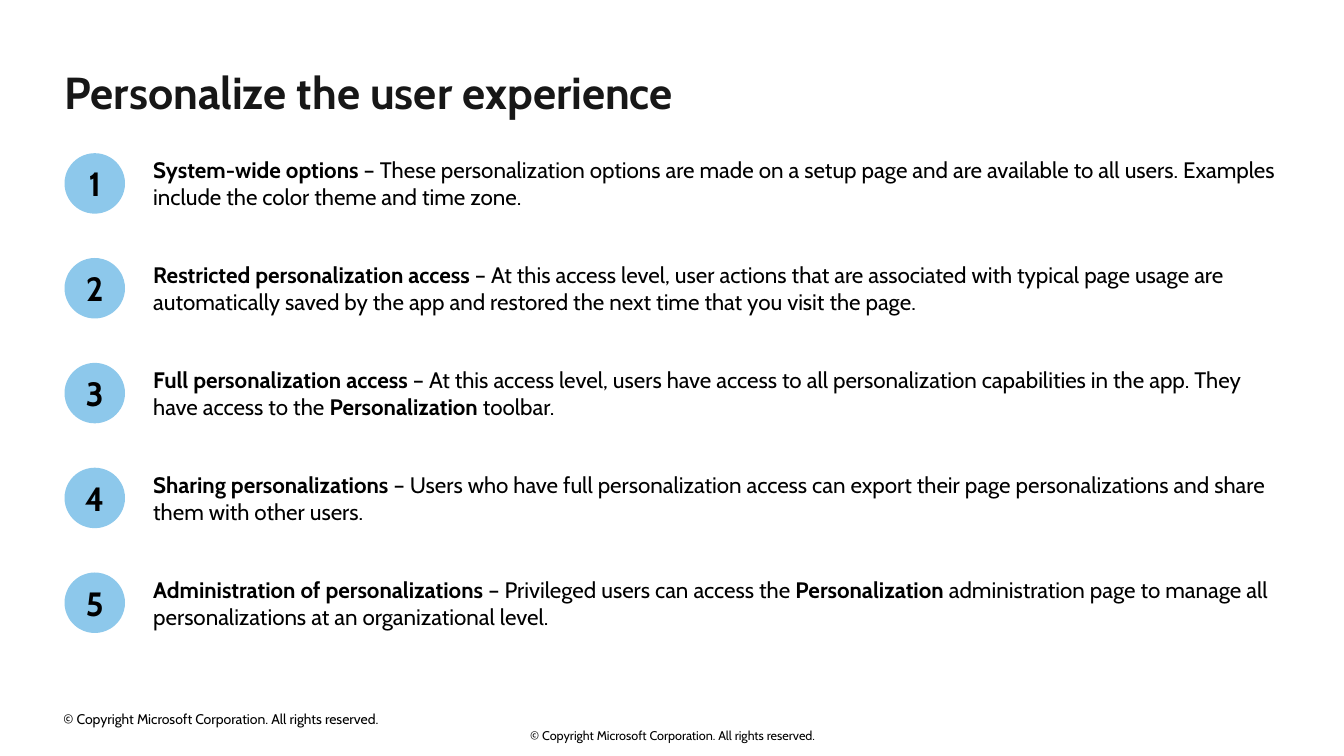
from dataclasses import dataclass

from pptx import Presentation
from pptx.dml.color import RGBColor
from pptx.enum.shapes import MSO_SHAPE
from pptx.enum.text import MSO_ANCHOR, PP_ALIGN
from pptx.util import Inches, Pt


@dataclass(frozen=True)
class Theme:
    font: str = "Cabin"
    heading: RGBColor = RGBColor(0x17, 0x17, 0x17)
    text: RGBColor = RGBColor(0, 0, 0)
    badge: RGBColor = RGBColor(0x8D, 0xC8, 0xEB)
    title_size: int = 32
    badge_size: int = 24
    body_size: int = 16
    footer_size: int = 10
    small_footer_size: int = 9


THEME = Theme()

# Grid in inches: two columns, five rows of equal pitch
SLIDE_WIDTH, SLIDE_HEIGHT = 13.33, 7.5
BADGE_LEFT, BADGE_SIZE = 0.64, 0.6
TEXT_LEFT, TEXT_WIDTH, TEXT_HEIGHT = 1.52, 11.17, 0.71
FIRST_ROW_MIDDLE, ROW_PITCH = 1.82, 1.04

TITLE = "Personalize the user experience"
COPYRIGHT = "© Copyright Microsoft Corporation. All rights reserved."

# Spans of each row alternate between bold and regular
ROWS = [
    ["System-wide options",
     " – These personalization options are made on a setup page and are available "
     "to all users. Examples include the color theme and time zone."],
    ["Restricted personalization access",
     " – At this access level, user actions that are associated with typical page "
     "usage are automatically saved by the app and restored the next time that you "
     "visit the page."],
    ["Full personalization access",
     " – At this access level, users have access to all personalization "
     "capabilities in the app. They have access to the ",
     "Personalization", " toolbar."],
    ["Sharing personalizations",
     " – Users who have full personalization access can export their page "
     "personalizations and share them with other users."],
    ["Administration of personalizations",
     " – Privileged users can access the ", "Personalization",
     " administration page to manage all personalizations at an organizational level."],
]


def style_span(span, size, color=THEME.text, bold=False):
    span.font.name = THEME.font
    span.font.size = Pt(size)
    span.font.bold = bold
    span.font.color.rgb = color


def add_text(page, area, spans, size, color=THEME.text, bold_first=False,
             anchor=MSO_ANCHOR.MIDDLE, align=PP_ALIGN.LEFT):
    """Add a box without margins; its spans alternate in weight if bold_first."""
    box = page.shapes.add_textbox(*map(Inches, area))
    frame = box.text_frame
    frame.word_wrap = True
    frame.vertical_anchor = anchor
    frame.margin_left = frame.margin_right = 0
    frame.margin_top = frame.margin_bottom = 0
    para = frame.paragraphs[0]
    para.alignment = align
    for index, words in enumerate(spans):
        span = para.add_run()
        span.text = words
        style_span(span, size, color, bold_first and index % 2 == 0)


def add_badge(page, number, middle):
    badge = page.shapes.add_shape(
        MSO_SHAPE.OVAL, Inches(BADGE_LEFT), Inches(middle - BADGE_SIZE / 2),
        Inches(BADGE_SIZE), Inches(BADGE_SIZE))
    badge.shadow.inherit = False
    badge.fill.solid()
    badge.fill.fore_color.rgb = THEME.badge
    badge.line.fill.background()
    frame = badge.text_frame
    frame.text = str(number)
    frame.word_wrap = False
    frame.vertical_anchor = MSO_ANCHOR.MIDDLE
    para = frame.paragraphs[0]
    para.alignment = PP_ALIGN.CENTER
    style_span(para.runs[0], THEME.badge_size, bold=True)


def add_row(page, number, spans):
    middle = FIRST_ROW_MIDDLE + (number - 1) * ROW_PITCH
    add_badge(page, number, middle)
    area = (TEXT_LEFT, middle - TEXT_HEIGHT / 2, TEXT_WIDTH, TEXT_HEIGHT)
    add_text(page, area, spans, THEME.body_size, bold_first=True)


def main():
    deck = Presentation()
    deck.slide_width, deck.slide_height = Inches(SLIDE_WIDTH), Inches(SLIDE_HEIGHT)
    page = deck.slides.add_slide(deck.slide_layouts[6])

    # Copyright lines
    add_text(page, (0.63, 7.02, 4.54, 0.22), [COPYRIGHT], THEME.footer_size)
    add_text(page, (4.42, 7.22, 4.5, 0.15), [COPYRIGHT], THEME.small_footer_size,
             align=PP_ALIGN.CENTER)

    # Title
    add_text(page, (BADGE_LEFT, 0.64, 11.41, 0.54), [TITLE], THEME.title_size,
             THEME.heading, bold_first=True, anchor=MSO_ANCHOR.TOP)

    # Numbered rows
    for number, spans in enumerate(ROWS, start=1):
        add_row(page, number, spans)

    deck.save("out.pptx")


if __name__ == "__main__":
    main()
